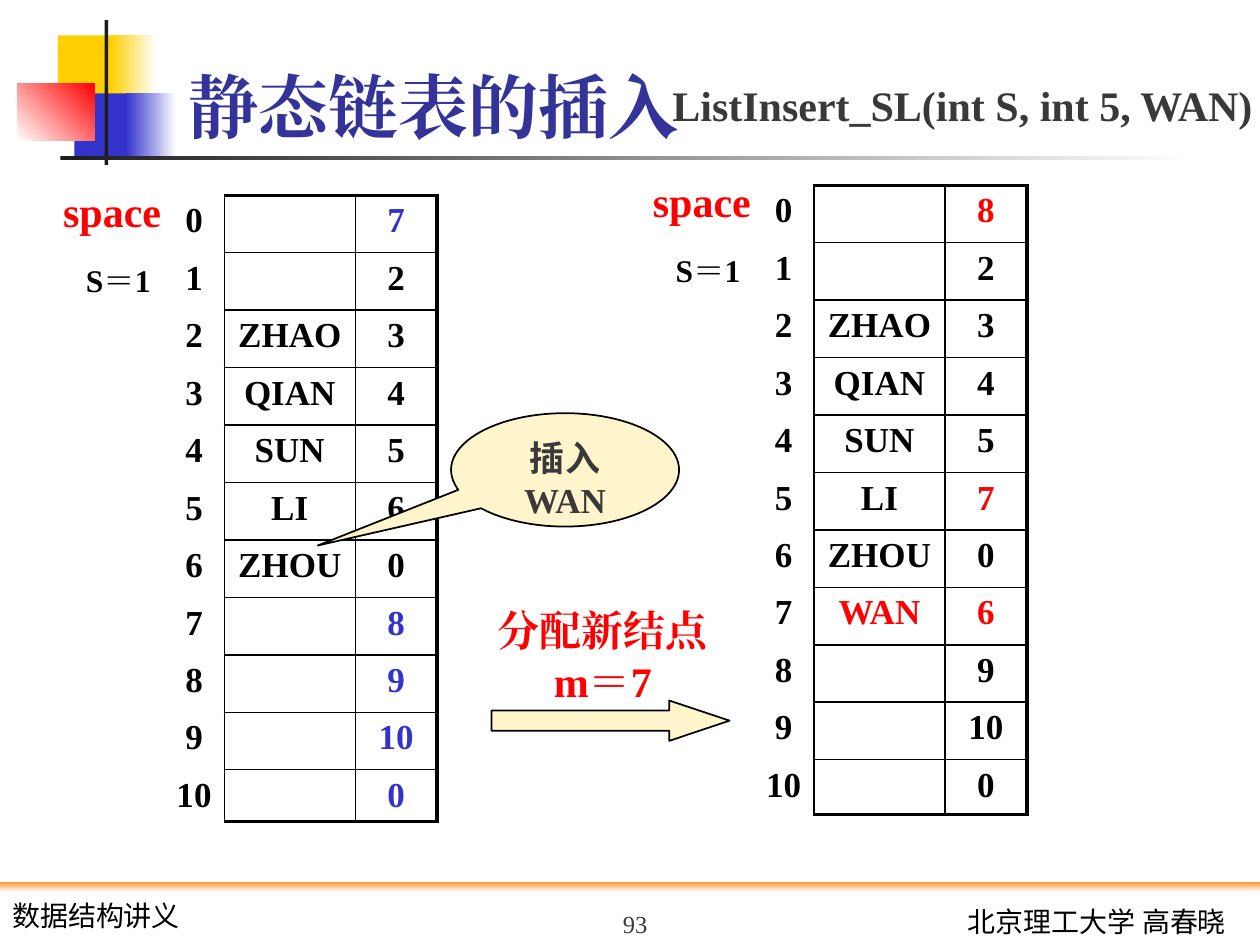
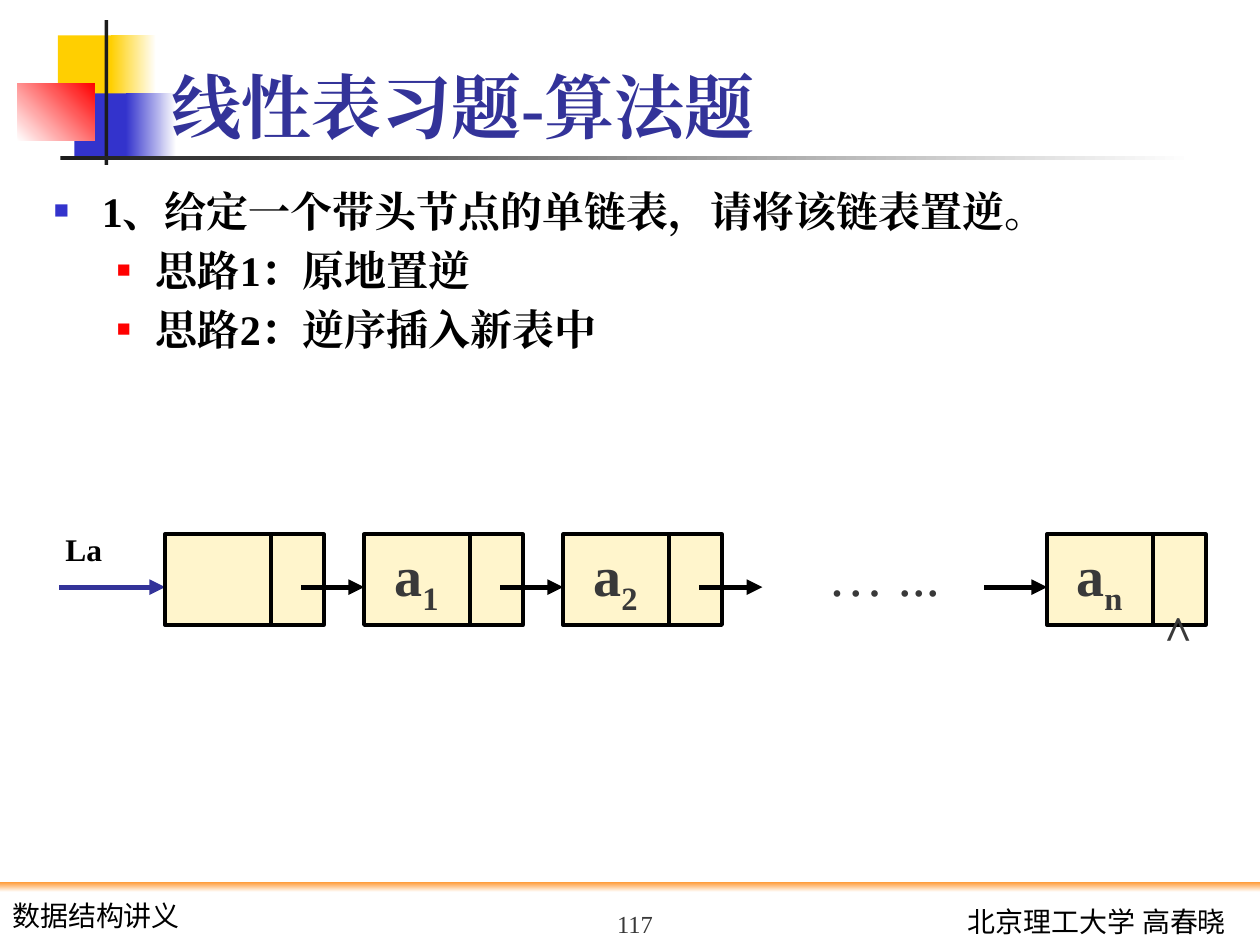
from pptx import Presentation
from pptx.dml.color import RGBColor
from pptx.enum import shapes, text
from pptx.oxml import parse_xml
from pptx.oxml.ns import nsdecls, qn
from pptx.util import Inches, Pt

COLORS = {
    "black": "000000", "ink": "393939", "rule": "1C1C1C", "white": "FFFFFF",
    "title": "333399", "blue": "3333CC", "red": "FF0000", "yellow": "FFCF01",
    "orange": "FF9933", "cream": "FFF5CC",
}
SERIF, SANS, CJK = "Times New Roman", "Lato", "Noto Sans CJK SC"
LEFT, CENTER, RIGHT = text.PP_ALIGN.LEFT, text.PP_ALIGN.CENTER, text.PP_ALIGN.RIGHT
TOP, BOTTOM = text.MSO_ANCHOR.TOP, text.MSO_ANCHOR.BOTTOM
RECTANGLE = shapes.MSO_SHAPE.RECTANGLE
NAMES = ["", "", "ZHAO", "QIAN", "SUN", "LI", "ZHOU"]


def rgb(name):
    """Return the palette colour called name."""
    return RGBColor.from_string(COLORS[name])


def style_span(span, size, color, bold=False, font=SERIF, baseline=0):
    """Format one run, with the same font for Latin and Chinese."""
    span.font.size, span.font.bold, span.font.name = Pt(size), bold, font
    span.font.color.rgb = rgb(color)
    props = span.font._element
    latin = props.find(qn("a:latin"))
    latin.addnext(parse_xml(f'<a:ea {nsdecls("a")} typeface="{font}"/>'))
    if baseline:
        props.set("baseline", str(baseline * 1000))


def style_frame(frame, size, color, align=LEFT, **look):
    """Format every run of a text frame alike."""
    for para in frame.paragraphs:
        para.alignment = align
        for span in para.runs:
            style_span(span, size, color, **look)


def add_label(page, box, words, size, color, align=CENTER, anchor=TOP, wrap=True, **look):
    """Add a text box in which all text looks the same."""
    label = page.shapes.add_textbox(*map(Inches, box))
    frame = label.text_frame
    frame.word_wrap, frame.vertical_anchor = wrap, anchor
    frame.text = words
    style_frame(frame, size, color, align, **look)
    return frame


def add_block(page, box, fill, line_width=0, kind=RECTANGLE, fade=None, angle=0):
    """Add a shape with a plain fill, or one that fades to a second colour."""
    block = page.shapes.add_shape(kind, *map(Inches, box))
    block.shadow.inherit = False
    if fade:
        block.fill.gradient()
        block.fill.gradient_angle = angle
        for stop, color in zip(block.fill.gradient_stops, (fill, fade)):
            stop.color.rgb = rgb(color)
    else:
        block.fill.solid()
        block.fill.fore_color.rgb = rgb(fill)
    if line_width:
        block.line.color.rgb, block.line.width = rgb("black"), Pt(line_width)
    else:
        block.line.fill.background()
    return block


def add_line(page, start, end, width, color="black", arrow=False):
    """Add a straight line, with an arrowhead at its end on request."""
    line = page.shapes.add_connector(
        shapes.MSO_CONNECTOR.STRAIGHT, *map(Inches, (*start, *end)))
    line.line.color.rgb, line.line.width = rgb(color), Pt(width)
    if arrow:
        line.line._get_or_add_ln().append(
            parse_xml(f'<a:tailEnd {nsdecls("a")} type="triangle"/>'))
    line._element.spPr.append(parse_xml(f'<a:effectLst {nsdecls("a")}/>'))


def add_emblem(page, left, top):
    """Draw the coloured squares and the two rules beside the title."""
    parts = [
        ((0.32, 0.12, 0.48, 0.52), "yellow", None, 0),
        ((0.74, 0.12, 0.36, 0.52), "yellow", "white", 0),
        ((0.45, 0.58, 0.46, 0.52), "blue", None, 0),
        ((0.86, 0.58, 0.4, 0.52), "blue", "white", 0),
        ((0, 0.5, 0.61, 0.46), "white", "red", 45),
        ((0.69, 0, 0.03, 1.15), "rule", None, 0),
        ((0.34, 1.08, 9, 0.03), "rule", "white", 0),
    ]
    for (x, y, width, height), fill, fade, angle in parts:
        add_block(page, (left + x, top + y, width, height), fill, fade=fade, angle=angle)


def add_footer(page, top, number):
    """Draw the footer band with course, page number and author."""
    add_block(page, (0, top, 10, 0.08), "orange", fade="white", angle=270)
    add_label(page, (7.33, top + 0.13, 2.5, 0.37), "北京理工大学 高春晓", 16, "black",
              RIGHT, font=SANS)
    add_label(page, (0, top + 0.08, 1.75, 0.37), "数据结构讲义", 16, "black", LEFT, font=SANS)
    add_label(page, (4, top, 2.08, 0.5), str(number), 14, "ink", anchor=BOTTOM)


def add_page(deck, heading, number):
    """Add a slide with the shared decoration, title and footer."""
    page = deck.slides.add_slide(deck.slide_layouts[5])
    add_emblem(page, 0.14, 0.16)
    add_footer(page, 7, number)
    title = page.shapes.title
    title.left, title.top, title.width, title.height = map(Inches, (1.26, 0.13, 8.52, 1.09))
    frame = title.text_frame
    frame.text = heading
    frame.auto_size, frame.vertical_anchor = text.MSO_AUTO_SIZE.NONE, BOTTOM
    style_frame(frame, 40, "title", bold=True)
    page.shapes._spTree.append(title._element)
    return page


def set_borders(cell, widths):
    """Set left, right, top and bottom borders; a width of 0 hides one."""
    props = cell._tc.get_or_add_tcPr()
    for side, width in zip("LRTB", widths):
        paint = (f'<a:solidFill><a:srgbClr val="{COLORS["black"]}"/></a:solidFill>'
                 if width else "<a:noFill/>")
        props.append(parse_xml(
            f'<a:ln{side} {nsdecls("a")} w="{Pt(width)}">{paint}</a:ln{side}>'))


def add_space_table(page, left, top, names, links, marks):
    """Draw the static list array; marks maps (row, column) to a text colour."""
    count = len(links)
    table = page.shapes.add_table(
        count, 3, *map(Inches, (left, top, 2.17, 4.76))).table
    table.first_row = table.horz_banding = False
    for column, width in zip(table.columns, (0.48, 1.04, 0.65)):
        column.width = Inches(width)
    for row, (name, link) in enumerate(zip(names, links)):
        last = row == count - 1
        table.rows[row].height = Inches(0.2) if last else Inches(4.56) // (count - 1)
        upper, lower = 1 if row else 2.25, 2.25 if last else 1
        edges = [(0, 1, 0, 0), (1, 1, upper, lower), (1, 2.25, upper, lower)]
        for column, (words, widths) in enumerate(zip((str(row), name, str(link)), edges)):
            cell = table.cell(row, column)
            cell.text = words
            cell.margin_left = cell.margin_right = Inches(0.05)
            set_borders(cell, widths)
            cell.fill.background()
            style_frame(cell.text_frame, 20, marks.get((row, column), "black"),
                        CENTER, bold=True)
    add_label(page, (left - 0.97, top - 0.13, 1.12, 0.5), "space", 24, "red", bold=True)
    add_label(page, (left - 0.79, top + 0.47, 0.86, 0.4), "S＝1", 18, "black", bold=True)


def add_insert_step(page, left, top):
    """Draw the callout, the allocation note and the arrow between the tables."""
    callout = add_block(page, (left, top, 1.81, 0.9), "cream", 1,
                        shapes.MSO_SHAPE.OVAL_CALLOUT)
    callout.adjustments[0], callout.adjustments[1] = -1.085, 0.667
    frame = callout.text_frame
    frame.word_wrap, frame.vertical_anchor = True, TOP
    para = frame.paragraphs[0]
    para.alignment = CENTER
    for words, font in (("插入", CJK), ("WAN", SERIF)):
        span = para.add_run()
        span.text = words
        style_span(span, 20, "ink", True, font)
    arrow = add_block(page, (left + 0.32, top + 2.28, 1.89, 0.32), "cream", 1,
                      shapes.MSO_SHAPE.RIGHT_ARROW)
    arrow.adjustments[0], arrow.adjustments[1] = 0.5, 1.496
    add_label(page, (left + 0.24, top + 1.47, 1.93, 0.9), "分配新结点\nm＝7", 24, "red",
              bold=True)


def add_outline(page, box, items):
    """Write the bulleted exercise text from (level, words) pairs."""
    levels = [(0.38, -0.38, "blue", 60), (0.81, -0.31, "red", 55)]
    frame = add_label(page, box, "\n".join(words for _, words in items), 24, "black",
                      LEFT, bold=True)
    for para, (level, _) in zip(frame.paragraphs, items):
        margin, indent, color, size = levels[level]
        para.level, para.space_before = level, Pt(5)
        props = para._p.get_or_add_pPr()
        props.set("marL", str(Inches(margin)))
        props.set("indent", str(Inches(indent)))
        for bullet in (f'<a:buClr {nsdecls("a")}><a:srgbClr val="{COLORS[color]}"/></a:buClr>',
                       f'<a:buSzPct {nsdecls("a")} val="{size * 1000}"/>',
                       f'<a:buFont {nsdecls("a")} typeface="{SERIF}"/>',
                       f'<a:buChar {nsdecls("a")} char="■"/>'):
            props.append(parse_xml(bullet))


def add_node(page, left, top, index="", linked=True):
    """Draw a list node with its data, divider and outgoing pointer."""
    add_block(page, (left, top, 1.26, 0.72), "cream", 2.25)
    add_line(page, (left + 0.84, top), (left + 0.84, top + 0.72), 2.25)
    if index:
        frame = add_label(page, (left + 0.08, top, 0.67, 0.63), "a", 32, "ink", bold=True)
        span = frame.paragraphs[0].add_run()
        span.text = index
        style_span(span, 32, "ink", True, baseline=-25)
    if linked:
        add_line(page, (left + 1.08, top + 0.42), (left + 1.58, top + 0.42), 3, arrow=True)
    else:
        add_label(page, (left + 0.83, top + 0.04, 0.42, 0.63), "^", 48, "ink",
                  bold=True, baseline=-25)


def add_linked_list(page, left, top):
    """Draw the chain of nodes from the head pointer to the last node."""
    first, last, middle = left + 0.98, left + 7.98, top + 0.42
    add_label(page, (left, top - 0.08, 0.67, 0.4), "La", 18, "black", bold=True)
    add_line(page, (left + 0.14, middle), (first, middle), 3, "title", arrow=True)
    for place, index in enumerate(("", "1", "2")):
        add_node(page, first + 1.58 * place, top, index)
    add_label(page, (left + 6.14, top, 1.09, 0.63), "… ...", 32, "ink", wrap=False)
    add_line(page, (last - 0.5, middle), (last, middle), 3, arrow=True)
    add_node(page, last, top, "n", linked=False)


def build_insert_page(deck):
    """Build the slide that compares the array before and after insertion."""
    page = add_page(deck, " 静态链表的插入", 93)
    add_space_table(page, 1.3, 1.55, NAMES + [""] * 4, [7, 2, 3, 4, 5, 6, 0, 8, 9, 10, 0],
                    {(row, 2): "blue" for row in (0, 7, 8, 9, 10)})
    add_space_table(page, 5.98, 1.47, NAMES + ["WAN"] + [""] * 3,
                    [8, 2, 3, 4, 5, 7, 0, 6, 9, 10, 0],
                    dict.fromkeys([(0, 2), (5, 2), (7, 1), (7, 2)], "red"))
    add_insert_step(page, 3.58, 3.28)
    add_label(page, (5.21, 0.58, 4.86, 0.5), "ListInsert_SL(int S, int 5, WAN)", 24, "ink",
              wrap=False, bold=True)


def build_exercise_page(deck):
    """Build the slide with the list reversal exercise."""
    page = add_page(deck, "线性表习题-算法题", 117)
    add_outline(page, (0.33, 1.42, 9.46, 5.5), [
        (0, "1、给定一个带头节点的单链表，请将该链表置逆。"),
        (1, "思路1：原地置逆"),
        (1, "思路2：逆序插入新表中"),
    ])
    add_linked_list(page, 0.33, 4.24)


def main():
    """Build and save the deck."""
    deck = Presentation()
    deck.slide_width, deck.slide_height = Inches(10), Inches(7.5)
    build_insert_page(deck)
    build_exercise_page(deck)
    deck.save("out.pptx")


if __name__ == "__main__":
    main()
